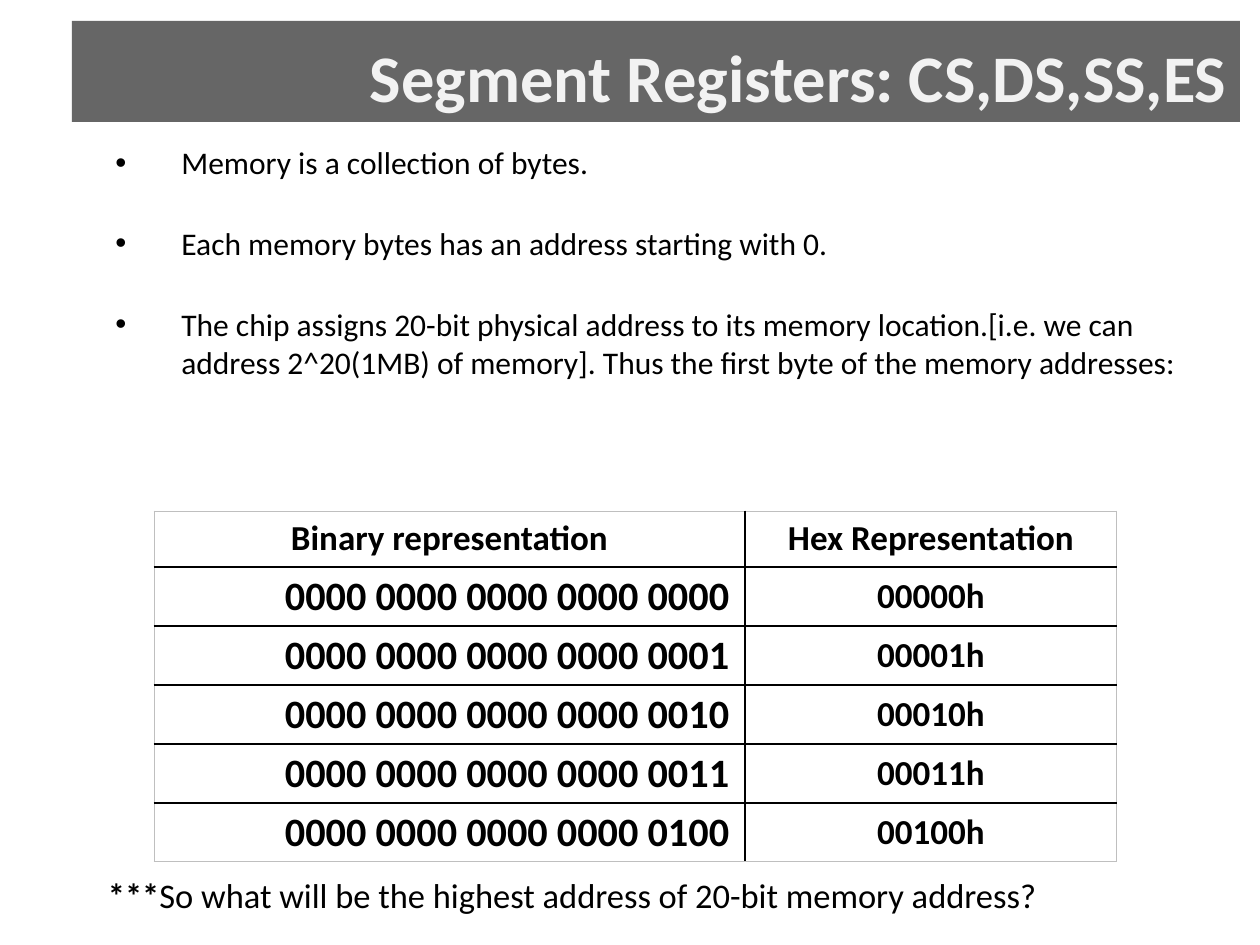
import pptx
import pptx.dml.color
import pptx.enum.text
import pptx.oxml
import pptx.oxml.ns
import pptx.util

PX = 914400 // 126
FONT = "Calibri"
BLACK = "000000"
ALIGN = pptx.enum.text.PP_ALIGN
ANCHOR = pptx.enum.text.MSO_ANCHOR
A_NS = pptx.oxml.ns.nsdecls("a")

POINTS = [
    "Memory is a collection of bytes.",
    "Each memory bytes has an address starting with 0.",
    "The chip assigns 20-bit physical address to its memory location."
    "[i.e. we can address 2^20(1MB) of memory]. "
    "Thus the first byte of the memory addresses:",
]
ADDRESSES = [
    ("0000 0000 0000 0000 0000", "00000h"),
    ("0000 0000 0000 0000 0001", "00001h"),
    ("0000 0000 0000 0000 0010", "00010h"),
    ("0000 0000 0000 0000 0011", "00011h"),
    ("0000 0000 0000 0000 0100", "00100h"),
]


def px(length):
    return pptx.util.Emu(length * PX)


def color(hex_value):
    return pptx.dml.color.RGBColor.from_string(hex_value)


def write(paragraph, text, size=18, bold=False, fill=BLACK, align=ALIGN.LEFT):
    paragraph.alignment = align
    run = paragraph.add_run()
    run.text = text
    run.font.name = FONT
    run.font.size = pptx.util.Pt(size)
    run.font.bold = bold
    run.font.color.rgb = color(fill)


def set_margins(holder, margin):
    holder.margin_left = holder.margin_right = px(margin)
    holder.margin_top = holder.margin_bottom = px(margin)


def add_bullet(paragraph, indent):
    properties = paragraph._p.get_or_add_pPr()
    properties.set("marL", str(px(indent)))
    properties.set("indent", str(-px(indent)))
    properties.append(pptx.oxml.parse_xml(f'<a:buFont {A_NS} typeface="Arial"/>'))
    properties.append(pptx.oxml.parse_xml(f'<a:buChar {A_NS} char="•"/>'))


def add_tab_stop(paragraph, position):
    paragraph._p.get_or_add_pPr().append(pptx.oxml.parse_xml(
        f'<a:tabLst {A_NS}><a:tab pos="{px(position)}" algn="l"/></a:tabLst>'))


def set_border(cell, side, hex_value, points):
    line = pptx.oxml.parse_xml(
        f'<a:{side} {A_NS} w="{pptx.util.Pt(points)}"><a:solidFill>'
        f'<a:srgbClr val="{hex_value}"/></a:solidFill></a:{side}>')
    cell._tc.get_or_add_tcPr().append(line)


def title_band(slide, left, top, width, height):
    title = slide.shapes.title
    title.left, title.top = px(left), px(top)
    title.width, title.height = px(width), px(height)
    title.fill.solid()
    title.fill.fore_color.rgb = color("262626")
    # 70 % opacity
    fill_color = title._element.spPr.find(".//" + pptx.oxml.ns.qn("a:srgbClr"))
    fill_color.append(pptx.oxml.parse_xml(f'<a:alpha {A_NS} val="70000"/>'))
    frame = title.text_frame
    frame.auto_size = pptx.enum.text.MSO_AUTO_SIZE.NONE
    frame.vertical_anchor = ANCHOR.BOTTOM
    write(frame.paragraphs[0], "Segment Registers: CS,DS,SS,ES",
          size=38, bold=True, fill="F2F2F2", align=ALIGN.RIGHT)


def bullet_list(slide, left, top, width, height):
    frame = slide.shapes.add_textbox(
        px(left), px(top), px(width), px(height)).text_frame
    frame.word_wrap = True
    for index, point in enumerate(POINTS):
        paragraph = frame.paragraphs[0] if index == 0 else frame.add_paragraph()
        add_bullet(paragraph, 66)
        if index:
            paragraph.space_before = pptx.util.Pt(24.6)
        write(paragraph, point)


def address_table(slide, left, top, column_widths, row_heights):
    table = slide.shapes.add_table(
        len(row_heights), len(column_widths), px(left), px(top),
        px(sum(column_widths)), px(sum(row_heights))).table
    table.horz_banding = table.first_row = False
    for column, width in zip(table.columns, column_widths):
        column.width = px(width)
    for row, height in zip(table.rows, row_heights):
        row.height = px(height)

    rows = [("Binary representation", "Hex Representation")] + ADDRESSES
    last_row, last_column = len(rows) - 1, len(column_widths) - 1
    for r, values in enumerate(rows):
        for c, value in enumerate(values):
            cell = table.cell(r, c)
            set_margins(cell, 5)
            cell.vertical_anchor = ANCHOR.MIDDLE
            # Light outer frame, black inner rules
            outer = {"lnL": c == 0, "lnR": c == last_column,
                     "lnT": r == 0, "lnB": r == last_row}
            for side, is_outer in outer.items():
                set_border(cell, side, *(("BFBFBF", 0.5) if is_outer else (BLACK, 1)))
            cell.fill.background()
            paragraph = cell.text_frame.paragraphs[0]
            if r and c == 0:
                add_tab_stop(paragraph, 126)
                write(paragraph, "\t" + value, size=23, bold=True)
            else:
                write(paragraph, value, size=20, bold=True, align=ALIGN.CENTER)


def closing_question(slide, left, top, width, height):
    frame = slide.shapes.add_textbox(
        px(left), px(top), px(width), px(height)).text_frame
    frame.word_wrap = True
    frame.vertical_anchor = ANCHOR.MIDDLE
    set_margins(frame, 5)
    question = frame.paragraphs[0]
    write(question, "***", size=19.7, bold=True)
    write(question, "So what will be the highest address of 20-bit memory address?",
          size=19.7)


def main():
    deck = pptx.Presentation()
    deck.slide_width, deck.slide_height = pptx.util.Inches(10), pptx.util.Inches(7.5)
    slide = deck.slides.add_slide(deck.slide_layouts[5])
    title_band(slide, 72, 21, 1168, 101)
    bullet_list(slide, 103, 137, 1116, 333)
    address_table(slide, 154, 511, [591, 372], [56] + [59] * len(ADDRESSES))
    closing_question(slide, 103, 869, 1123, 52)
    deck.save("out.pptx")


if __name__ == "__main__":
    main()
